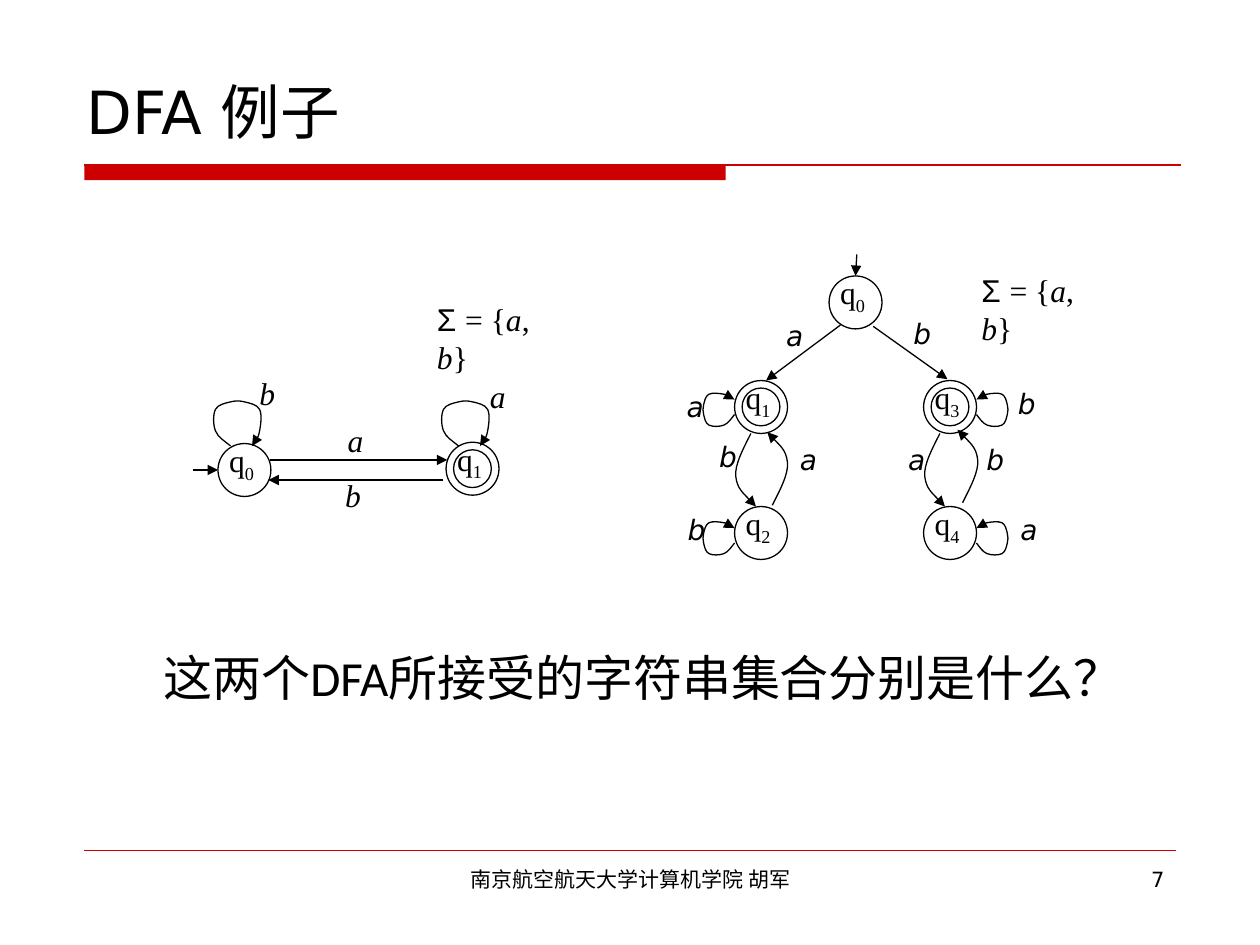
from lxml.etree import SubElement
from pptx import Presentation
from pptx.dml.color import RGBColor
from pptx.enum.shapes import MSO_CONNECTOR, MSO_SHAPE
from pptx.enum.text import MSO_ANCHOR, MSO_AUTO_SIZE, PP_ALIGN
from pptx.oxml.ns import qn
from pptx.util import Inches, Pt

COLORS = {"ink": "000000", "red": "CC0000"}
SERIF, SANS = "Times New Roman", "DejaVu Sans"

TITLE = "DFA 例子"
QUESTION = "这两个DFA所接受的字符串集合分别是什么？"
FOOTER = "南京航空航天大学计算机学院 胡军"
PAGE = "7"

# States: number, center, accepting
STATES = [
    ("0", 1.94, 3.73, False), ("1", 3.75, 3.72, True),
    ("0", 6.79, 2.4, False), ("1", 6.04, 3.23, True), ("2", 6.04, 4.23, False),
    ("3", 7.54, 3.23, True), ("4", 7.54, 4.23, False),
]
# Straight arrows: from, to
ARROWS = [
    (1.53, 3.73, 1.73, 3.73), (2.14, 3.65, 3.55, 3.65), (3.52, 3.81, 2.13, 3.81),
    (6.8, 2.02, 6.79, 2.19), (6.67, 2.58, 6.08, 3.02), (6.93, 2.59, 7.52, 3.01),
]
# Self loops: start, side
LOOPS = [
    (1.83, 3.54, "top"), (3.64, 3.54, "top"),
    (5.83, 3.29, "left"), (5.83, 4.31, "left"),
    (7.75, 3.29, "right"), (7.75, 4.31, "right"),
]
# Bent arrows: start, direction (1 down, -1 up)
BENDS = [(5.96, 3.44, 1), (6.13, 4.01, -1), (7.46, 3.44, 1), (7.64, 3.99, -1)]
# Edge labels: letter, left, top
LEFT_LABELS = [("b", 1.96, 2.92), ("a", 3.79, 2.94), ("a", 2.66, 3.29), ("b", 2.64, 3.73)]
RIGHT_LABELS = [
    ("a", 6.14, 2.48), ("a", 5.35, 3.04), ("a", 6.25, 3.46), ("a", 7.11, 3.46),
    ("a", 8, 4.02), ("b", 7.98, 3.02), ("b", 7.15, 2.46), ("b", 7.73, 3.46),
    ("b", 5.61, 3.44), ("b", 5.36, 4.02),
]
ALPHABETS = [(3.37, 2.33), (7.69, 2.1)]

# Bezier points of a loop, as (across, outward) from its start
LOOP = [
    (0, 0), (-.05, .04), (-.1, .07), (-.12, .12), (-.14, .17), (-.14, .25), (-.12, .29),
    (-.1, .33), (-.04, .34), (0, .35), (.04, .36), (.07, .36), (.11, .35),
    (.15, .34), (.21, .33), (.23, .29), (.25, .25), (.24, .17), (.23, .12),
    (.22, .07), (.2, .04), (.17, 0),
]
BEND = [(0, 0), (-.06, .12), (-.13, .25), (-.12, .34), (-.11, .44), (.04, .58), (.04, .58)]
SIDE_SCALE = .7


def rgb(name):
    return RGBColor.from_string(COLORS[name])


def stroke(shape, color="ink", width=.75, head=False):
    shape.line.color.rgb = rgb(color)
    shape.line.width = Pt(width)
    props = shape.element.spPr
    if head:
        SubElement(props.find(qn("a:ln")), qn("a:tailEnd"), type="triangle")
    if props.find(qn("a:effectLst")) is None:
        SubElement(props, qn("a:effectLst"))


def line(x1, y1, x2, y2, **style):
    link = slide.shapes.add_connector(
        MSO_CONNECTOR.STRAIGHT, Inches(x1), Inches(y1), Inches(x2), Inches(y2))
    stroke(link, **style)


def ring(x, y, size):
    oval = slide.shapes.add_shape(
        MSO_SHAPE.OVAL, Inches(x - size / 2), Inches(y - size / 2), Inches(size), Inches(size))
    oval.fill.background()
    stroke(oval)


def curve(points):
    """Draw an arrow through cubic Bezier points: a start, then groups of three."""
    spots = [(Inches(x), Inches(y)) for x, y in points]
    pen = slide.shapes.build_freeform(*spots[0])
    pen.add_line_segments(spots[1:], close=False)
    shape = pen.convert_to_shape()
    path = shape.element.find(".//" + qn("a:path"))
    steps = path.findall(qn("a:lnTo"))
    for i in range(0, len(steps), 3):
        cubic = SubElement(path, qn("a:cubicBezTo"))
        for step in steps[i:i + 3]:
            cubic.append(step[0])
            path.remove(step)
    shape.fill.background()
    stroke(shape, head=True)


def write(frame, runs, align=PP_ALIGN.LEFT):
    """Add runs of (text, font, size, italic, baseline)."""
    para = frame.paragraphs[0]
    para.alignment = align
    for words, face, size, slant, base in runs:
        run = para.add_run()
        run.text = words
        run.font.name, run.font.size, run.font.italic = face, Pt(size), slant
        run.font.color.rgb = rgb("ink")
        if base:
            run.font._element.set("baseline", str(base))


def text(x, y, w, h, runs, align=PP_ALIGN.LEFT, wrap=False):
    box = slide.shapes.add_textbox(Inches(x), Inches(y), Inches(w), Inches(h))
    box.text_frame.word_wrap = wrap
    write(box.text_frame, runs, align)


prs = Presentation()
prs.slide_width, prs.slide_height = Inches(10), Inches(7.5)
slide = prs.slides.add_slide(prs.slide_layouts[5])

title = slide.shapes.title
title.left, title.top, title.width, title.height = map(Inches, (.59, .52, 9.14, .72))
title.text_frame.auto_size = MSO_AUTO_SIZE.NONE
title.text_frame.vertical_anchor = MSO_ANCHOR.MIDDLE
write(title.text_frame, [(TITLE, SANS, 34, False, 0)])

bar = slide.shapes.add_shape(
    MSO_SHAPE.RECTANGLE, Inches(.67), Inches(1.31), Inches(5.09), Inches(.12))
bar.shadow.inherit = False
bar.fill.solid()
bar.fill.fore_color.rgb = rgb("red")
bar.line.fill.background()
line(.67, 1.31, 9.37, 1.31, color="red")
line(.67, 6.75, 9.33, 6.75, color="red", width=.25)

for num, x, y, final in STATES:
    ring(x, y, .42)
    if final:
        ring(x, y, .3)
    text(x - .22, y - .28, .43, .44, [("q", SERIF, 18, False, 0), (num, SERIF, 18, False, -25000)])

for ends in ARROWS:
    line(*ends, head=True)

for x, y, side in LOOPS:
    if side == "top":
        curve([(x + across, y - out) for across, out in LOOP])
    else:
        way = SIDE_SCALE if side == "right" else -SIDE_SCALE
        curve([(x + way * out, y - SIDE_SCALE * across) for across, out in LOOP])

for x, y, way in BENDS:
    curve([(x + way * dx, y + way * dy) for dx, dy in BEND])

for labels, face, size, w, h in [(LEFT_LABELS, SERIF, 18, .35, .4), (RIGHT_LABELS, SANS, 16, .32, .37)]:
    for letter, x, y in labels:
        text(x, y, w, h, [(letter, face, size, True, 0)])

sigma = [("Σ ", "Arial", 18, False, 0)] + [
    (part, SERIF, 18, part in "ab", 0) for part in ("= {", "a", ", ", "b", "}")]
for x, y in ALPHABETS:
    text(x, y, 1.2, .4, sigma, wrap=True)

text(1.2, 5.09, 8.09, .57, [(QUESTION, "Calibri", 28, False, 0)])
text(3.42, 6.83, 3.17, .52, [(FOOTER, SANS, 12, False, 0)], PP_ALIGN.CENTER, True)
text(7.17, 6.83, 2.17, .52, [(PAGE, SANS, 12, False, 0)], PP_ALIGN.RIGHT, True)

prs.save("out.pptx")
